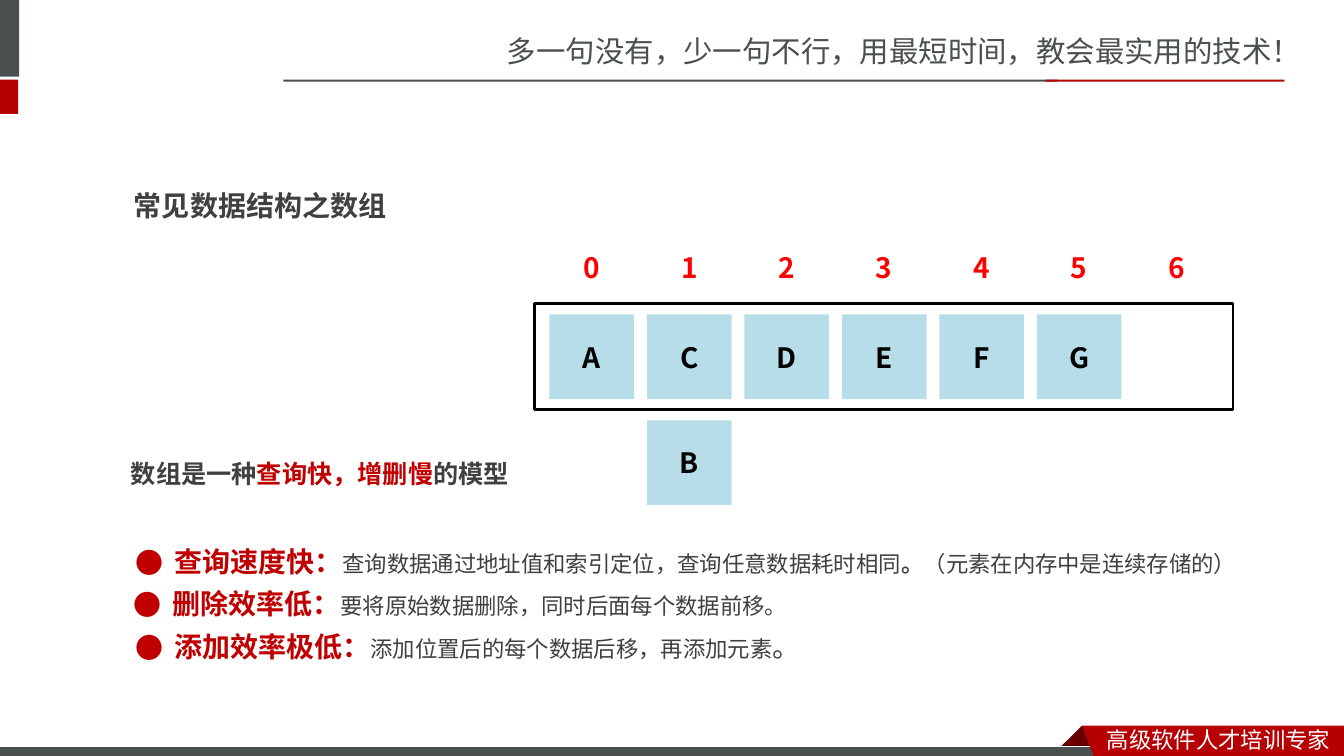
from lxml.etree import SubElement
from pptx import Presentation
from pptx.dml.color import RGBColor
from pptx.enum.shapes import MSO_SHAPE as Preset
from pptx.enum.text import MSO_ANCHOR as Anchor, PP_ALIGN as Align
from pptx.oxml.ns import qn
from pptx.util import Inches, Pt

SLIDE_W, SLIDE_H = 13.33, 7.5
SC, JP = "Noto Sans CJK SC", "Noto Sans CJK JP"
COLORS = {
    "slate": "49504F", "crimson": "B60004", "maroon": "680000",
    "white": "FFFFFF", "black": "000000", "body": "404040",
    "accent": "C00000", "index": "FF0000", "cell": "B7DEE8",
}

SLOGAN = "多一句没有，少一句不行，用最短时间，教会最实用的技术！"
FOOTER = "高级软件人才培训专家"
HEADING = "常见数据结构之数组"
SUMMARY = [("数组是一种", "body"), ("查询快，增删慢", "accent"), ("的模型", "body")]
ELEMENTS = "ACDEFG"
INSERTED, INSERTED_INDEX = "B", 1
CAPACITY = 7
TRAITS = [
    ((1.25, 5.19, 11.21, 0.56), "查询速度快：", [
        ("查询数据通过地址值和索引定位，查询任意数据耗时相同", 16, False),
        ("。", 16, True),
        ("（元素在内存中是连续存储的）", 16, False)]),
    ((1.23, 5.6, 11.44, 0.56), "删除效率低：", [
        ("要将原始数据删除，同时后面每个数据前移。", 16, False)]),
    ((1.25, 6.03, 11.44, 0.56), "添加效率极低：", [
        ("添加位置后的每个数据后移，再添加元素", 16, False),
        ("。", 20, False)]),
]
BARS = [
    ((-0.06, 0, 0.25, 0.76), "slate"),
    ((-0.06, 0.79, 0.24, 0.34), "crimson"),
    ((2.81, 0.79, 7.68, 0.02), "slate"),
    ((10.37, 0.79, 2.37, 0.02), "crimson"),
]
FOOTER_BAR = (-0.01, 7.41, 11, 0.12)
RIBBON_FOLD = [(10.73, 7.2), (10.95, 7.42), (10.94, 7.43), (10.52, 7.43), (10.51, 7.42)]
RIBBON = [(10.73, 7.2), (SLIDE_W, 7.2), (SLIDE_W, 7.54), (10.86, 7.53)]
FRAME = (5.3, 3.01, 6.93, 1.05)
GRID_LEFT, CELL = 5.45, 0.84
PITCH = 5.8 / (CAPACITY - 1)
INDEX_TOP, ARRAY_TOP, INSERTED_TOP = 2.23, 3.12, 4.17

prs = Presentation()
prs.slide_width, prs.slide_height = Inches(SLIDE_W), Inches(SLIDE_H)
slide = prs.slides.add_slide(prs.slide_layouts[6])


def rgb(color):
    return RGBColor.from_string(COLORS[color])


def inches(lengths):
    return [Inches(length) for length in lengths]


def paint(shape, fill=None, line=None, width=1):
    shape.shadow.inherit = False
    if fill:
        shape.fill.solid()
        shape.fill.fore_color.rgb = rgb(fill)
    else:
        shape.fill.background()
    if line:
        shape.line.color.rgb = rgb(line)
        shape.line.width = Pt(width)
    else:
        shape.line.fill.background()
    return shape


def block(box, *style):
    return paint(slide.shapes.add_shape(Preset.RECTANGLE, *inches(box)), *style)


def outline(points, fill):
    start, *rest = [tuple(inches(point)) for point in points]
    builder = slide.shapes.build_freeform(*start)
    builder.add_line_segments(rest, close=True)
    paint(builder.convert_to_shape(), fill)


def add_run(paragraph, text, size, color, bold=False, face=JP):
    run = paragraph.add_run()
    run.text = text
    font = run.font
    font.size, font.bold, font.name = Pt(size), bold, face
    font.color.rgb = rgb(color)
    SubElement(run._r.get_or_add_rPr(), qn("a:ea")).set("typeface", face)


def text_line(box, runs, spacing=None, bullet=None):
    frame = slide.shapes.add_textbox(*inches(box)).text_frame
    frame.word_wrap = True
    paragraph = frame.paragraphs[0]
    if spacing:
        paragraph.line_spacing = spacing
    if bullet:
        props = paragraph._p.get_or_add_pPr()
        props.set("marL", str(Inches(0.38)))
        props.set("indent", str(-Inches(0.38)))
        SubElement(props, qn("a:buFont")).set("typeface", JP)
        SubElement(props, qn("a:buChar")).set("char", bullet)
    for run in runs:
        add_run(paragraph, *run)


def label(shape, text, color):
    frame = shape.text_frame
    frame.word_wrap = True
    frame.vertical_anchor = Anchor.MIDDLE
    paragraph = frame.paragraphs[0]
    paragraph.alignment = Align.CENTER
    add_run(paragraph, text, 20, color, True)


def grid_box(column, top):
    return GRID_LEFT + column * PITCH, top, CELL, CELL


text_line((4.93, 0.28, 8.41, 0.47), [(SLOGAN, 21, "slate", False, SC)])
for bar, color in BARS:
    block(bar, color)
outline(RIBBON_FOLD, "maroon")
block(FOOTER_BAR, "slate", "white", 0.75)
outline(RIBBON, "crimson")
text_line((10.88, 7.15, 2.45, 0.37), [(FOOTER, 16, "white", False, SC)])

text_line((1.23, 1.65, 5.12, 0.56), [(HEADING, 20, "body", True)], 1.5)

block(FRAME, None, "black", 2)
cells = [(column, ARRAY_TOP, element) for column, element in enumerate(ELEMENTS)]
for column, top, element in cells + [(INSERTED_INDEX, INSERTED_TOP, INSERTED)]:
    label(block(grid_box(column, top), "cell"), element, "black")
for index in range(CAPACITY):
    label(slide.shapes.add_textbox(*inches(grid_box(index, INDEX_TOP))), str(index), "index")

text_line((1.2, 4.35, 6.06, 0.51),
          [(text, 18, color, True) for text, color in SUMMARY], 1.5)
for box, trait, details in TRAITS:
    runs = [(trait, 20, "accent", True)]
    runs += [(text, size, "body", bold) for text, size, bold in details]
    text_line(box, runs, 1.5, "●")

prs.save("out.pptx")
